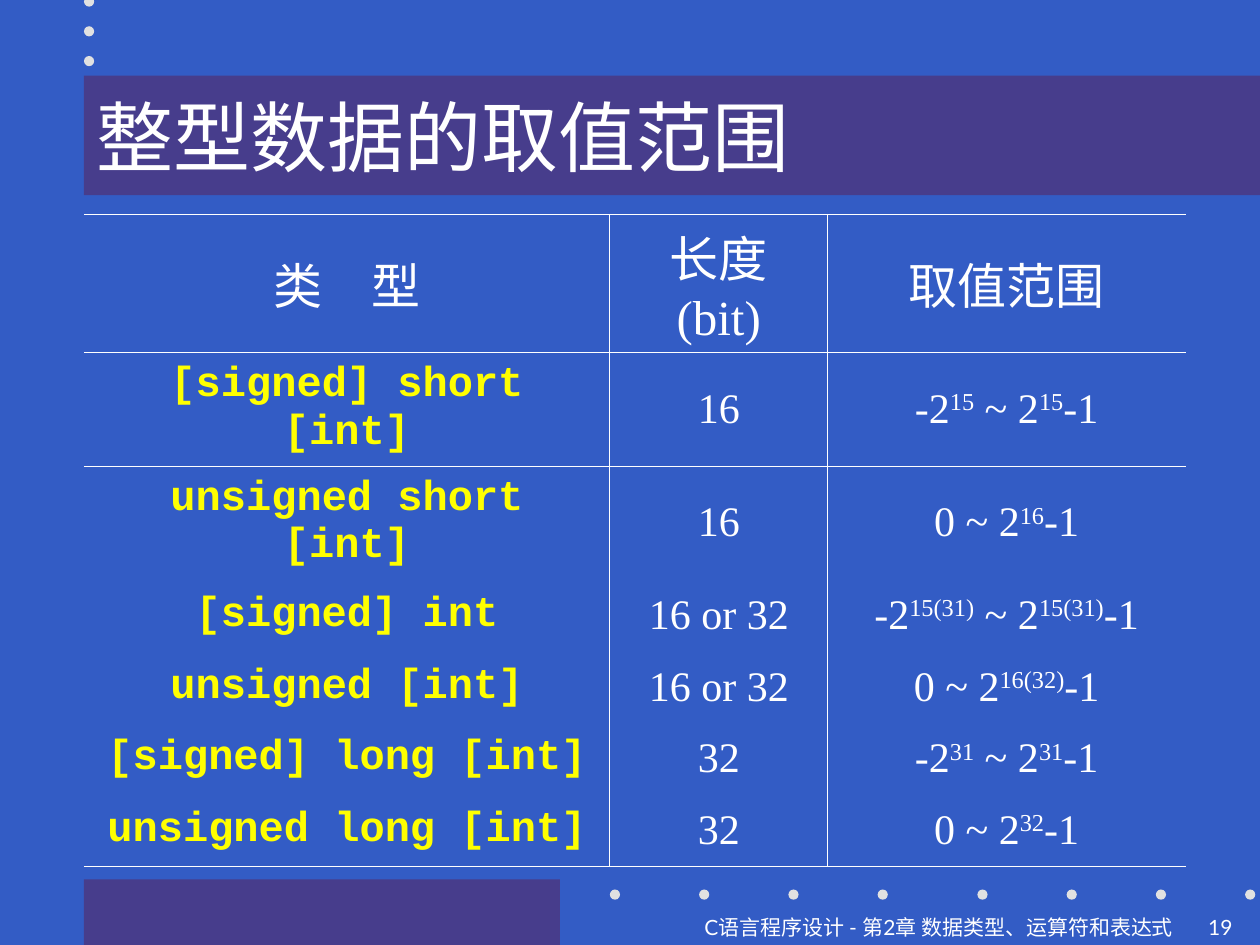
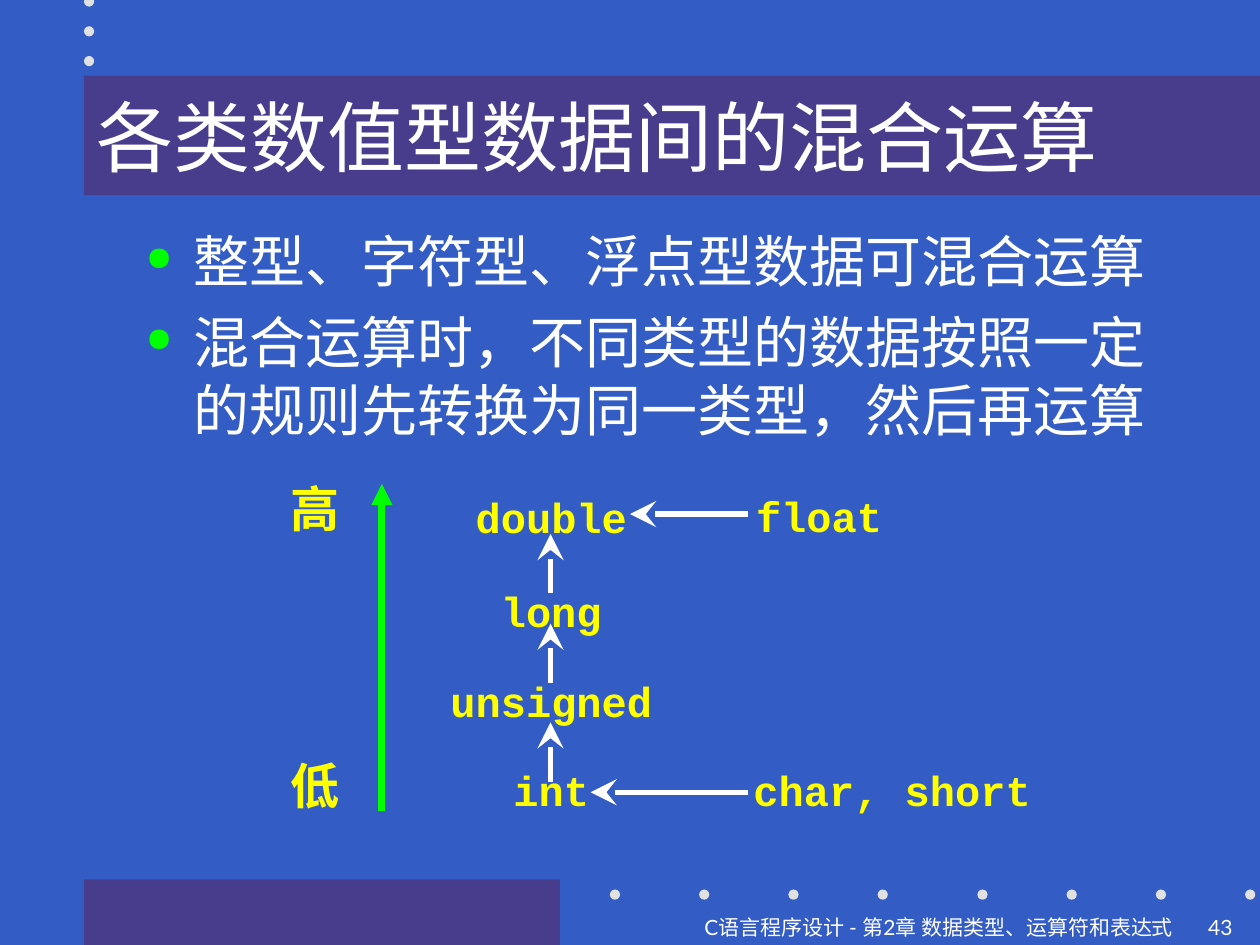
import lxml.etree
import pptx
import pptx.dml.color
import pptx.enum.shapes
import pptx.enum.text
import pptx.oxml.ns
import pptx.util

Pt = pptx.util.Pt
qn = pptx.oxml.ns.qn
sub = lxml.etree.SubElement
kinds = pptx.enum.shapes.MSO_SHAPE
align = pptx.enum.text.PP_ALIGN
middle = pptx.enum.text.MSO_ANCHOR.MIDDLE

BLUE, PURPLE, GREY = "335CC5", "473D8C", "E1E1E1"
WHITE, YELLOW, GREEN = "FFFFFF", "FFFF00", "00FF00"
SERIF, MONO = "Times New Roman", "Courier New"


def paint(fill, color):
    fill.solid()
    fill.fore_color.rgb = pptx.dml.color.RGBColor.from_string(color)


def write(frame, text, size=24, font=SERIF, color=WHITE, bold=False,
          side=align.LEFT, gap=0, bullet=None):
    """Lines become paragraphs; text between ^ marks is superscript."""
    frame.word_wrap = True
    for i, line in enumerate(text.split("\n")):
        par = frame.add_paragraph() if i else frame.paragraphs[0]
        par.alignment = side
        if i:
            par.space_before = Pt(gap)
        if bullet:
            props = par._p.get_or_add_pPr()
            props.set("marL", str(Pt(27)))
            props.set("indent", str(-Pt(27)))
            tint = sub(props, qn("a:buClr"))
            sub(tint, qn("a:srgbClr"), val=GREEN)
            sub(props, qn("a:buSzPct"), val="60000")
            sub(props, qn("a:buChar"), char=bullet)
        for j, part in enumerate(line.split("^")):
            run = par.add_run()
            run.text = part
            run.font.size = Pt(size)
            run.font.name = font
            run.font.bold = bold
            paint(run.font.fill, color)
            if j % 2:
                run.font._element.set("baseline", "30000")


deck = pptx.Presentation()
deck.slide_width, deck.slide_height = Pt(720), Pt(540)

# Shared frame: bands, dots, title, footer
dots = [(48, -2 + 17 * i) for i in range(3)]
dots += [(x + 51 * i, 508.3) for x in (348.5, 558.5) for i in range(4)]
parts = [(kinds.RECTANGLE, 48, 502.5, 272, 37.5, PURPLE)]
parts += [(kinds.OVAL, x, y, 5.8, 5.8, GREY) for x, y in dots]
parts += [(kinds.RECTANGLE, 48, 43.3, 672, 68.2, PURPLE)]

pages = []
for title, number in (("整型数据的取值范围", "19"),
                      ("各类数值型数据间的混合运算", "43")):
    page = deck.slides.add_slide(deck.slide_layouts[6])
    paint(page.background.fill, BLUE)
    for kind, x, y, w, h, color in parts:
        shape = page.shapes.add_shape(kind, Pt(x), Pt(y), Pt(w), Pt(h))
        shape.shadow.inherit = False
        paint(shape.fill, color)
        shape.line.fill.background()
    # The last part is the title band
    shape.text_frame.vertical_anchor = middle
    write(shape.text_frame, title, size=44)
    for text, x, w, side in (
            ("C语言程序设计 - 第2章 数据类型、运算符和表达式", 0, 677.5, align.RIGHT),
            (number, 683.3, 36.7, align.LEFT)):
        box = page.shapes.add_textbox(Pt(x), Pt(519), Pt(w), Pt(20))
        write(box.text_frame, text, size=12, font="Lato", side=side)
    pages.append(page)
ranges, mixed = pages

# Table of integer ranges
rows = [
    ("类　型", "长度 (bit)", "取值范围"),
    ("[signed] short [int]", "16", "-2^15^ ~ 2^15^-1"),
    ("unsigned short [int]", "16", "0 ~ 2^16^-1"),
    ("[signed] int", "16 or 32", "-2^15(31)^ ~ 2^15(31)^-1"),
    ("unsigned [int]", "16 or 32", "0 ~ 2^16(32)^-1"),
    ("[signed] long [int]", "32", "-2^31^ ~ 2^31^-1"),
    ("unsigned long [int]", "32", "0 ~ 2^32^-1"),
]
widths = (300.5, 124.5, 204.5)
heights = [79, 64.8, 64.8] + [41] * 4
frame = ranges.shapes.add_table(len(rows), len(widths), Pt(48), Pt(122.4),
                                Pt(sum(widths)), Pt(sum(heights)))
grid = frame.table
grid.first_row = grid.horz_banding = False
style = next(frame._element.iter(qn("a:tableStyleId")))
style.text = "{2D5ABB26-0587-4C30-8999-92F81FD0307C}"
for col, width in zip(grid.columns, widths):
    col.width = Pt(width)
for r, row in enumerate(rows):
    grid.rows[r].height = Pt(heights[r])
    for c, text in enumerate(row):
        cell = grid.cell(r, c)
        cell.vertical_anchor = middle
        edges = {"L": c > 0, "R": c < 2, "T": r < 2, "B": r in (0, 6)}
        for edge, shown in edges.items():
            if shown:
                line = sub(cell._tc.get_or_add_tcPr(), qn("a:ln" + edge),
                           w=str(Pt(0.45)))
                fill = sub(line, qn("a:solidFill"))
                sub(fill, qn("a:srgbClr"), val=WHITE)
        cell.fill.background()
        if r and c == 0:
            look = dict(font=MONO, color=YELLOW, bold=True)
        else:
            look = dict(size=24 if r else 28)
        write(cell.text_frame, text, side=align.CENTER, **look)

# Rules for mixed arithmetic
box = mixed.shapes.add_textbox(Pt(76.3), Pt(126), Pt(607.7), Pt(376.5))
write(box.text_frame,
      "整型、字符型、浮点型数据可混合运算\n"
      "混合运算时，不同类型的数据按照一定的规则先转换为同一类型，然后再运算",
      size=32, gap=8, bullet="●")

# Type names and rank labels
code = dict(font=MONO, side=align.CENTER)
rank = dict(font="Arial", size=28)
for text, x, y, w, look in (
        ("double", 247, 277.2, 136, code),
        ("long", 247, 331.2, 136, code),
        ("unsigned", 247, 382.3, 136, code),
        ("int", 247, 433.4, 136, code),
        ("float", 416.9, 276.5, 102.2, code),
        ("char, short", 421.9, 433.4, 175.7, code),
        ("高", 159.1, 270, 44, rank),
        ("低", 159.1, 428.4, 44, rank)):
    box = mixed.shapes.add_textbox(Pt(x), Pt(y), Pt(w), Pt(36))
    write(box.text_frame, text, color=YELLOW, bold=True, **look)

# Conversion arrows
cast = (WHITE, 3, "stealth", "lg")
climb = (GREEN, 4, "triangle", "med")
for x1, y1, x2, y2, look in (
        (314.6, 339.1, 314.6, 305.2, cast),
        (314.6, 390.2, 314.6, 356.4, cast),
        (314.6, 446.8, 314.6, 412.8, cast),
        (427.7, 293.8, 360, 293.8, cast),
        (427.7, 452.7, 337.5, 452.7, cast),
        (218.2, 463.7, 218.2, 276.5, climb)):
    color, width, head, size = look
    arrow = mixed.shapes.add_connector(
        pptx.enum.shapes.MSO_CONNECTOR.STRAIGHT, Pt(x1), Pt(y1), Pt(x2), Pt(y2))
    paint(arrow.line.fill, color)
    arrow.line.width = Pt(width)
    sub(arrow.line._get_or_add_ln(), qn("a:tailEnd"), type=head, w=size, len=size)
    sub(arrow._element.spPr, qn("a:effectLst"))

deck.save("out.pptx")
